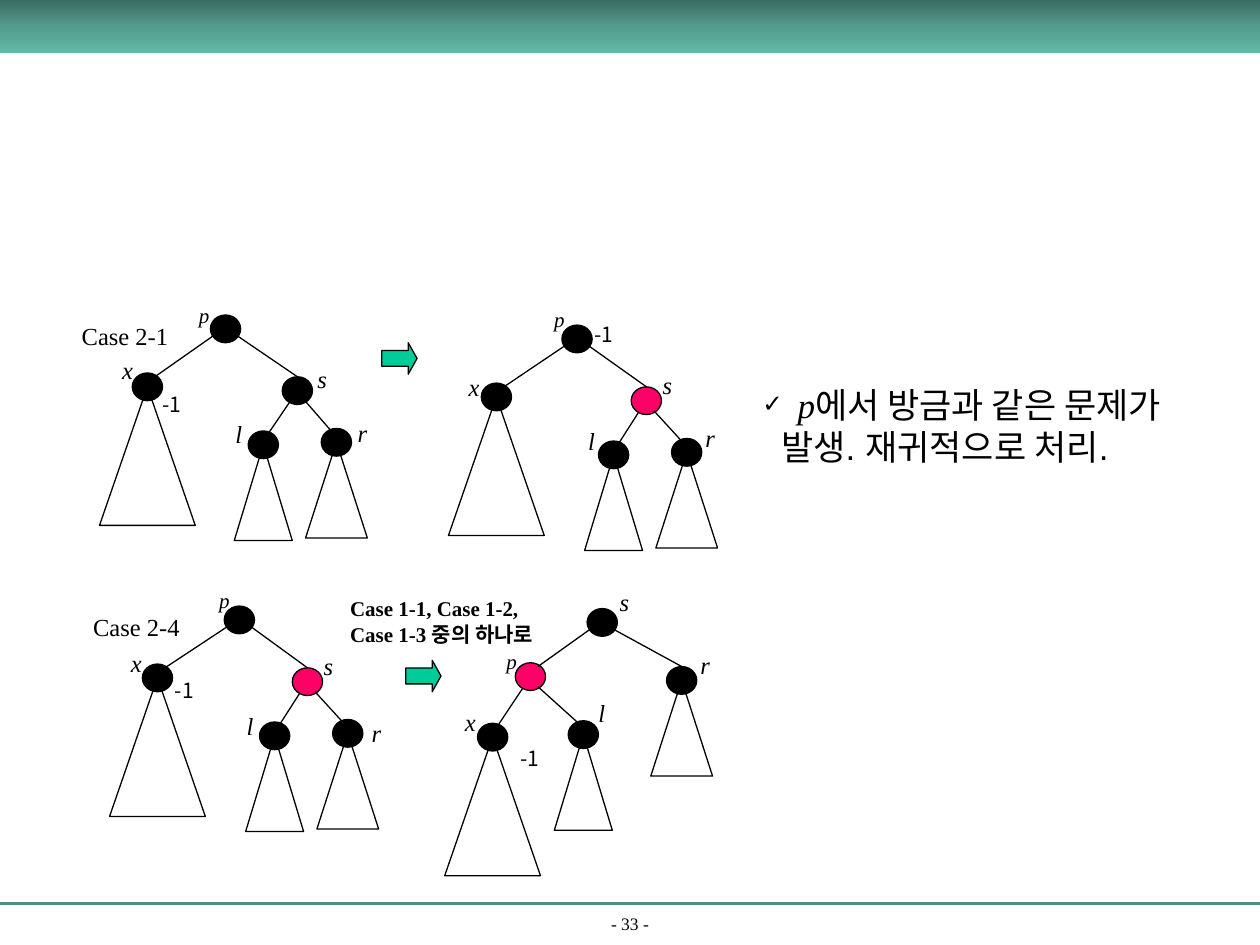
from copy import deepcopy

from lxml import etree
from pptx import Presentation
from pptx import util as u
from pptx.dml.color import RGBColor
from pptx.enum import shapes, text
from pptx.oxml.ns import qn

COLORS = {"black": "000000", "red": "FF0066", "arrow": "00CC99", "rule": "4C9282",
          "band": ["3A6D62", "539C8B", "62B9A5"]}
SERIF, SANS, KOREAN = "Times New Roman", "Arial", "Noto Sans CJK KR"

deck = Presentation()
deck.slide_width, deck.slide_height = u.Inches(10), u.Inches(7.5)
page = deck.slides.add_slide(deck.slide_layouts[1])
page.shapes.title.element.getparent().remove(page.shapes.title.element)
CELL = deck.slide_width / 10  # grid of 10 columns by 7.5 rows


def grid(*cells):
    return [round(cell * CELL) for cell in cells]


def write(para, words, size=14, font=SERIF, bold=False, italic=False):
    span = para.add_run()
    span.text = words
    span.font.size, span.font.name = u.Pt(size), font
    span.font.bold, span.font.italic = bold, italic
    span.font.color.rgb = RGBColor.from_string(COLORS["black"])


# Header band
band = page.shapes.add_shape(shapes.MSO_SHAPE.RECTANGLE, *grid(0, 0, 10, 0.42))
band.shadow.inherit = False
band.line.fill.background()
band.fill.gradient()
band.fill.gradient_angle = 270
stop_list = band.element.spPr.find(".//" + qn("a:gsLst"))
stop_list.insert(1, deepcopy(stop_list[0]))
for stop, color, position in zip(band.fill.gradient_stops, COLORS["band"], (0, 0.5, 1)):
    stop.color.rgb = RGBColor.from_string(color)
    stop.position = position

# Trees: name, left, top, color, parent, label left, label top
trees = [
    [("p", 1.67, 2.5, "black", None, 1.48, 2.35),
     ("x", 1.05, 2.96, "black", "p", 0.87, 2.77),
     ("s", 2.24, 2.99, "black", "p", 2.42, 2.84),
     ("l", 1.97, 3.42, "black", "s", 1.77, 3.28),
     ("r", 2.55, 3.4, "black", "s", 2.74, 3.27)],
    [("p", 4.46, 2.58, "black", None, 4.3, 2.38),
     ("x", 3.82, 3.04, "black", "p", 3.62, 2.9),
     ("s", 5.01, 3.07, "red", "p", 5.16, 2.89),
     ("l", 4.75, 3.5, "black", "s", 4.57, 3.33),
     ("r", 5.33, 3.48, "black", "s", 5.5, 3.31)],
    [("p", 1.78, 4.81, "black", None, 1.64, 4.61),
     ("x", 1.13, 5.27, "black", "p", 0.94, 5.09),
     ("s", 2.32, 5.3, "red", "p", 2.47, 5.12),
     ("l", 2.06, 5.73, "black", "s", 1.86, 5.59),
     ("r", 2.64, 5.71, "black", "s", 2.85, 5.65)],
    [("s", 4.66, 4.83, "black", None, 4.82, 4.61),
     ("p", 4.09, 5.26, "red", "s", 3.92, 5.1),
     ("x", 3.79, 5.74, "black", "p", 3.59, 5.56),
     ("l", 4.51, 5.72, "black", "p", 4.65, 5.49),
     ("r", 5.29, 5.29, "black", "s", 5.46, 5.11)],
]
subtrees = {"x": (0.76, 1.1), "l": (0.46, 0.76), "r": (0.49, 0.76)}
# Edge ends within the parent and child nodes, by (is steep, goes right)
ends = {(False, False): (0.03, 0.16, 0.18, 0.03), (False, True): (0.22, 0.17, 0.12, 0),
        (True, False): (0.06, 0.2, 0.16, 0.02), (True, True): (0.18, 0.19, 0.07, 0.01)}

lines = [(0, 7.17, 10, 7.17, "rule", 1.5)]
triangles, nodes, labels = [], [], []
for tree in trees:
    places = {name: (left, top) for name, left, top, *_ in tree}
    for name, left, top, color, parent, label_left, label_top in tree:
        nodes.append(("OVAL", left, top, 0.24, 0.22, color))
        labels.append((label_left, label_top, 0.28, 0.32, name,
                       {"size": 12 if name == "p" else 14, "italic": True}))
        if name in subtrees:
            width, height = subtrees[name]
            triangles.append(("ISOSCELES_TRIANGLE", left + 0.12 - width / 2, top + 0.11,
                              width, height, None))
        if parent:
            from_left, from_top = places[parent]
            steep = abs(left - from_left) < 0.45
            dx, dy, end_dx, end_dy = ends[steep, left > from_left]
            lines.append((from_left + dx, from_top + dy, left + end_dx, top + end_dy,
                          "black", 0.75))

# Shapes
arrows = [("RIGHT_ARROW", left, top, 0.28, 0.25, "arrow")
          for left, top in ((3.03, 2.72), (3.22, 5.24))]
for kind, left, top, width, height, color in triangles + nodes + arrows:
    shape = page.shapes.add_shape(shapes.MSO_SHAPE[kind], *grid(left, top, width, height))
    shape.shadow.inherit = False
    shape.line.color.rgb = RGBColor.from_string(COLORS["black"])
    shape.line.width = u.Pt(0.75)
    if color:
        shape.fill.solid()
        shape.fill.fore_color.rgb = RGBColor.from_string(COLORS[color])
    else:
        shape.fill.background()
    if kind == "RIGHT_ARROW":
        shape.adjustments[1] = 0.28

# Tree edges and footer rule
for *points, color, weight in lines:
    line = page.shapes.add_connector(shapes.MSO_CONNECTOR.STRAIGHT, *grid(*points))
    line.line.color.rgb = RGBColor.from_string(COLORS[color])
    line.line.width = u.Pt(weight)
    etree.SubElement(line.element.spPr, qn("a:effectLst"))

# Node labels, counts, case names and page number
labels += [(left, top, 0.4, 0.3, "-1", {"size": 12, "font": KOREAN})
           for left, top in ((1.19, 3.06), (4.62, 2.5), (1.29, 5.33), (4.03, 5.87))]
labels += [
    (0.55, 2.5, 0.89, 0.33, "Case 2-1", {}),
    (0.64, 4.81, 0.89, 0.33, "Case 2-4", {}),
    (2.68, 4.68, 1.71, 0.5, "Case 1-1, Case 1-2,\nCase 1-3 중의 하나로",
     {"size": 12, "bold": True}),
    (0, 7.24, 10, 0.22, "- 33 -", {"size": 10}),
]
for left, top, width, height, words, style in labels:
    box = page.shapes.add_textbox(*grid(left, top, width, height))
    frame = box.text_frame
    frame.word_wrap = width == 10
    for index, row in enumerate(words.split("\n")):
        para = frame.add_paragraph() if index else frame.paragraphs[0]
        write(para, row, **style)
    if width == 10:
        frame.vertical_anchor = text.MSO_ANCHOR.BOTTOM
        para.alignment = text.PP_ALIGN.CENTER

# Remark
body = page.placeholders[1]
body.left, body.top, body.width, body.height = grid(5.95, 2.99, 3.63, 0.77)
body.text_frame.word_wrap = False
body.text_frame.auto_size = text.MSO_AUTO_SIZE.NONE
first, second = body.text_frame.paragraphs[0], body.text_frame.add_paragraph()
for para, margin, indent in ((first, 0.28, -0.28), (second, 0.15, 0)):
    para.space_before = u.Pt(0)
    props = para._p.get_or_add_pPr()
    props.set("marL", str(u.Inches(margin)))
    props.set("indent", str(u.Inches(indent)))
    if para is first:
        etree.SubElement(props, qn("a:buSzPct"), val="70000")
        etree.SubElement(props, qn("a:buFont"), typeface=SANS)
        etree.SubElement(props, qn("a:buChar"), char="✓")
    else:
        etree.SubElement(props, qn("a:buNone"))
write(first, "p", size=20, italic=True)
write(first, "에서 방금과 같은 문제가", size=20, font=SANS)
write(second, "발생. 재귀적으로 처리.", size=20, font=SANS)

deck.save("out.pptx")
